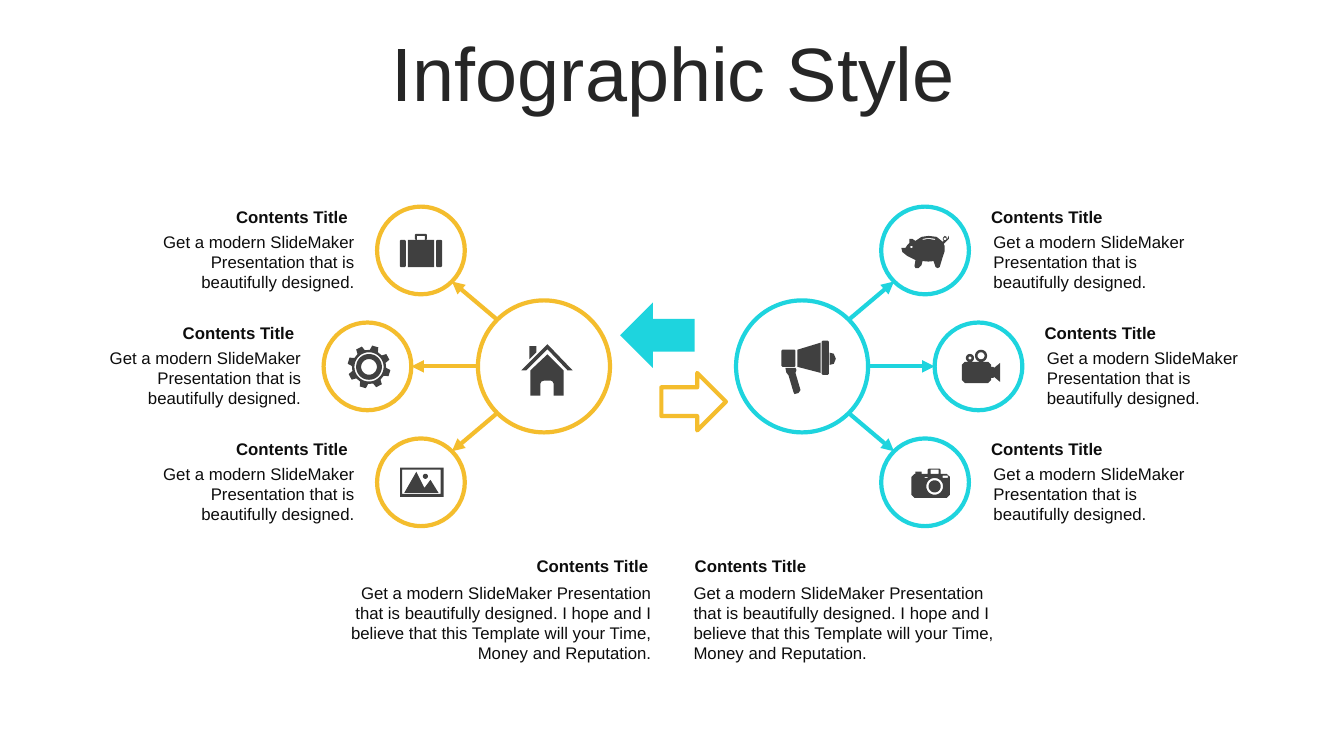
from math import cos, radians, sin, sqrt

from lxml import etree
from pptx import Presentation, util as u
from pptx.dml.color import RGBColor
from pptx.enum import shapes, text
from pptx.oxml import ns

CELL = 0.1  # grid of square cells, in inches
GOLD, CYAN, DARK, INK, WHITE = "F4BD2D", "1ED4DE", "404040", "0D0D0D", "FFFFFF"
SHORT = "Get a modern SlideMaker Presentation that is beautifully designed."
LONG = SHORT + " I hope and I believe that this Template will your Time, Money and Reputation."


def g(*cells):
    return [u.Inches(n * CELL) for n in cells]


def color(hex_code):
    return RGBColor.from_string(hex_code)


# Basic parts
def style(sp, fill=None, line=None):
    sp.shadow.inherit = False
    if fill:
        sp.fill.solid()
        sp.fill.fore_color.rgb = color(fill)
    else:
        sp.fill.background()
    if line:
        sp.line.color.rgb = color(line)
        sp.line.width = u.Pt(3)
    else:
        sp.line.fill.background()


def circle(s, cx, cy, r, line):
    sp = s.shapes.add_shape(shapes.MSO_SHAPE.OVAL, *g(cx - r, cy - r, 2 * r, 2 * r))
    style(sp, line=line)


def arrow_line(s, start, end, line):
    sp = s.shapes.add_connector(shapes.MSO_CONNECTOR.STRAIGHT, *g(*start, *end))
    sp.line.color.rgb = color(line)
    sp.line.width = u.Pt(3)
    etree.SubElement(sp.line._get_or_add_ln(), ns.qn("a:tailEnd"), type="triangle")
    etree.SubElement(sp._element.spPr, ns.qn("a:effectLst"))


def label(s, box, words, size=12, bold=False, align="LEFT", ink=INK, inset=1):
    tf = s.shapes.add_textbox(*g(*box)).text_frame
    tf.word_wrap = True
    tf.margin_left = tf.margin_right = g(inset)[0]
    p = tf.paragraphs[0]
    p.text = words
    p.alignment = getattr(text.PP_ALIGN, align)
    p.font.name, p.font.size, p.font.bold = "Arial", u.Pt(size), bold
    p.font.color.rgb = color(ink)
    return tf


def caption(s, box, words, align, shift, rise):
    x, y, w, h = box
    label(s, box, words, align=align)
    label(s, (x - shift, y - rise, w, 3), "Contents Title", bold=True, align=align, inset=1.2)


# Icon outlines, in tenths of a cell
def disc(cx, cy, r):
    return [(cx + r * cos(radians(a)), cy + r * sin(radians(a))) for a in range(0, 360, 10)]


def rect(x, y, w, h, cut=0):
    return [(x + cut, y), (x + w - cut, y), (x + w, y + cut), (x + w, y + h - cut),
            (x + w - cut, y + h), (x + cut, y + h), (x, y + h - cut), (x, y + cut)]


def cog(cx, cy, teeth=8):
    corners = [(-14, 17), (-8.5, 21.4), (8.5, 21.4), (14, 17)]
    points = [(17 + 360 * i / teeth + turn, r) for i in range(teeth) for turn, r in corners]
    return [(cx + r * cos(radians(a)), cy + r * sin(radians(a))) for a, r in points]


HOUSE = [
    [(26, 10), (42, 26), (42, 51), (32, 51), (32, 39), (31, 37), (29, 36), (23, 36),
     (20, 37), (19, 39), (19, 51), (9, 51), (9, 26)],
    [(8, 2), (15, 2), (15, 8), (8, 15)],
    [(26, 0), (51, 26), (46, 26), (26, 5), (5, 26), (0, 26)]]
MEGAPHONE = [
    rect(0, 9, 14, 17, 1),
    [(4, 27), (14, 27), (15, 29), (14, 32), (19, 49), (17, 52), (13, 53), (12, 51), (7, 34), (5, 32)],
    [(39, 2), (39, 32), (16, 26), (16, 9)],
    rect(40, 0, 7, 34, 1),
    [(48, 12), (52, 13), (54, 18), (52, 23), (48, 24)]]
SUITCASE = [rect(0, 6, 6, 27, 1), rect(36, 6, 6, 27, 1), rect(8, 6, 26, 27),
            rect(15, 0, 12, 6, 1), rect(17, 2, 8, 4)]
GEAR = [cog(21, 21), disc(21, 21, 14.5), disc(21, 21, 12.8), disc(21, 21, 7.8)]
PHOTO = [rect(0, 0, 43, 29), rect(2, 2, 38, 24), disc(25, 8.5, 2.5),
         [(16, 4), (24, 20), (30, 12), (38, 25), (4, 25)]]
PIG = [
    [(27, 0), (35, 1), (40, 5), (41, 6), (42, 5), (41, 3), (42, 1), (43, 0), (45, 1), (45, 4),
     (47, 0), (47, 3), (44, 6), (42, 8), (43, 10), (43, 15), (41, 21), (38, 31), (36, 32),
     (34, 31), (32, 25), (27, 25.5), (21, 25), (20, 29), (17, 32), (14, 32), (13, 30),
     (14, 24), (6, 20), (1, 16), (0, 12), (4, 12), (6, 9), (8, 7), (8, 3), (11, 3),
     (14, 5), (20, 1)],
    disc(10, 11, 1.2), disc(43.2, 3, 1.3),
    [(21, 3), (27, 2), (34, 3), (33, 4), (27, 3), (21, 4)]]
VIDEO = [
    disc(8, 8.2, 4), disc(8, 8.2, 1.5), disc(19, 6, 6), disc(19, 6, 3.5),
    [(3, 12), (26, 12), (29, 15), (29, 17), (31, 17), (32, 18), (38, 13), (38, 32), (32, 27),
     (31, 28), (29, 28), (29, 30), (26, 33), (3, 33), (0, 30), (0, 15)]]
CAMERA = [
    [(17, 0), (28, 0), (29, 1), (29, 5), (35, 5), (38, 8), (38, 26), (35, 29), (3, 29), (0, 26),
     (0, 8), (3, 5), (4, 5), (4, 3), (10, 3), (10, 5), (16, 5), (16, 1)],
    disc(23, 17.5, 8.3), disc(23, 17.5, 6), rect(13, 8, 3, 1.2), rect(31, 7, 5, 2), rect(19, 1, 8, 4)]


def icon(s, outlines, cx, cy):
    points = [point for outline in outlines for point in outline]
    mid_x, mid_y = [(min(axis) + max(axis)) / 2 for axis in zip(*points)]
    fine = [[((x - mid_x) * 100, (y - mid_y) * 100) for x, y in outline] for outline in outlines]
    fb = s.shapes.build_freeform(*fine[0][0], scale=u.Inches(CELL) / 1000)
    for i, outline in enumerate(fine):
        if i:
            fb.move_to(*outline[0])
        fb.add_line_segments(outline[1:], close=True)
    style(fb.convert_to_shape(*g(cx, cy)), fill=DARK)


# Hub circle with three satellites, spreading left (side -1) or right (side 1)
def cluster(s, box, side, line, hub_icon, satellites):
    x, y, w, h = box
    inner = x if side > 0 else x + w
    hub_r, sat_r, text_w = 6.55, 4.35, 21.6 if side > 0 else 21.2
    hub_x, hub_y = inner + side * hub_r, y + h / 2
    circle(s, hub_x, hub_y, hub_r, line)
    outlines, dx, dy = hub_icon
    icon(s, outlines, hub_x + dx, hub_y + dy)
    for row, (outlines, dx, dy) in zip((-1, 0, 1), satellites):
        cx = inner + side * (18.75 if row else 24.05)
        cy = hub_y + row * 11.5
        circle(s, cx, cy, sat_r, line)
        icon(s, outlines, cx + dx, cy + dy)
        reach = 1 / sqrt(2) if row else 1
        arrow_line(s, (hub_x + side * hub_r * reach, hub_y + row * hub_r * reach),
                   (cx - side * sat_r * reach, cy - row * sat_r * reach), line)
        left = cx + 5.8 if side > 0 else cx - 5.6 - text_w
        caption(s, (left, cy - 2.35, text_w, 7.1), SHORT, "LEFT" if side > 0 else "RIGHT", 0.45, 2.45)


# Pair of opposite arrows between the hubs
def exchange(s, box):
    x, y, w, h = box
    back = s.shapes.add_shape(shapes.MSO_SHAPE.RIGHT_ARROW, *g(x, y, 7.4, 6.5))
    back.rotation = 180
    style(back, fill=CYAN)
    forth = s.shapes.add_shape(shapes.MSO_SHAPE.RIGHT_ARROW, *g(x + w - 6.4, y + h - 5.7, 6.4, 5.7))
    style(forth, fill=WHITE, line=GOLD)


# Two summaries side by side
def summaries(s, box):
    x, y, w, h = box
    col = 32.5
    caption(s, (x, y, col, h), LONG, "RIGHT", 0.1, 2.7)
    caption(s, (x + w - col, y, col, h), LONG, "LEFT", 0.1, 2.7)


def title(s, box):
    tf = label(s, box, "Infographic Style", size=54, align="CENTER", ink="262626")
    tf.vertical_anchor = text.MSO_ANCHOR.MIDDLE
    tf.paragraphs[0].line_spacing = 0.9


def main():
    prs = Presentation()
    prs.slide_width, prs.slide_height = u.Inches(13.33), u.Inches(7.5)
    s = prs.slides.add_slide(prs.slide_layouts[6])
    title(s, (3.5, 3.7, 126.6, 7.9))
    cluster(s, (9.7, 20.5, 50.8, 31.7), -1, GOLD, (HOUSE, 0.3, 0.35),
            [(SUITCASE, 0, 0), (GEAR, 0.15, 0.05), (PHOTO, 0.1, 0)])
    cluster(s, (73, 20.5, 51.4, 31.7), 1, CYAN, (MEGAPHONE, 0.65, 0.1),
            [(PIG, 0, 0.15), (VIDEO, 0.25, 0), (CAMERA, 0.55, 0.1)])
    exchange(s, (61.5, 30, 10.5, 12.7))
    summaries(s, (33.1, 57.3, 67.2, 9.1))
    prs.save("out.pptx")


if __name__ == "__main__":
    main()
